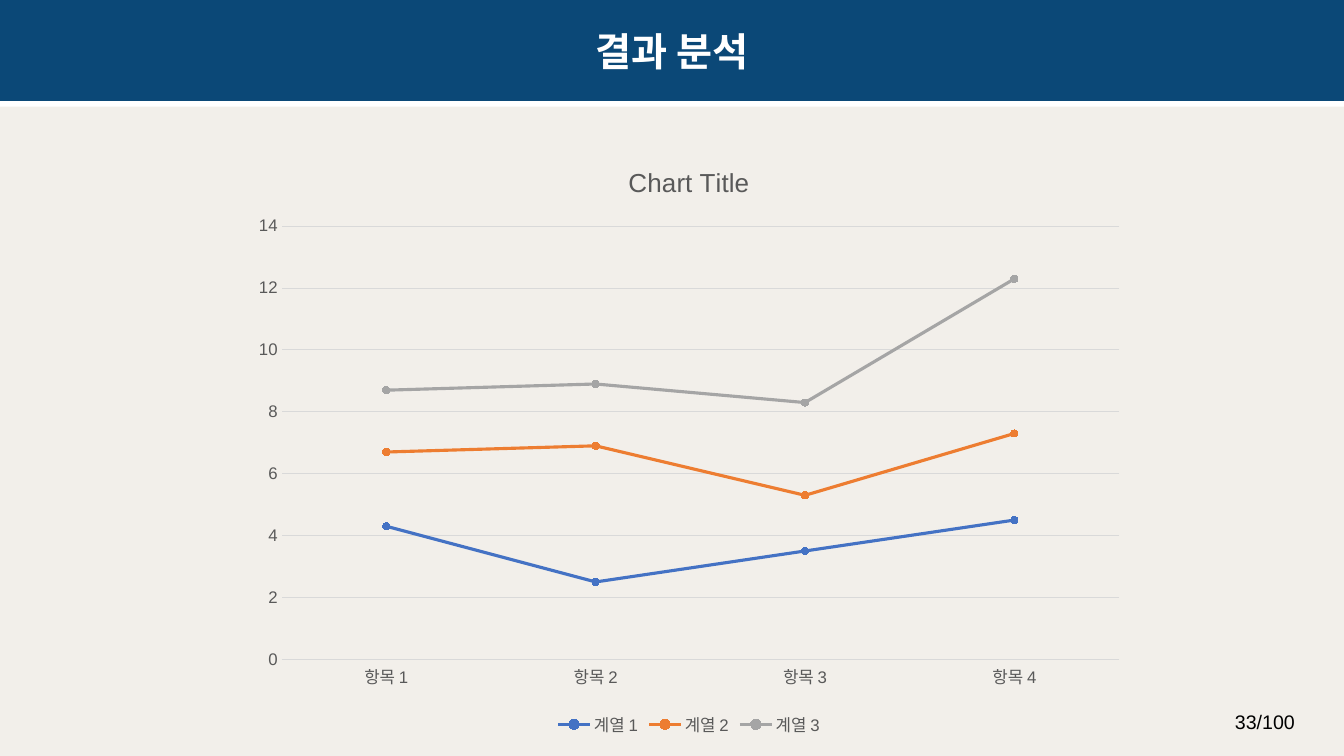
from lxml.etree import SubElement
from pptx import Presentation
from pptx.chart.data import CategoryChartData
from pptx.dml.color import RGBColor
from pptx.enum.chart import (XL_CHART_TYPE as ChartType, XL_LEGEND_POSITION as LegendPosition,
                             XL_MARKER_STYLE as MarkerStyle, XL_TICK_MARK as TickMark)
from pptx.enum.text import MSO_ANCHOR as Anchor, MSO_AUTO_SIZE as AutoSize, PP_ALIGN as Align
from pptx.oxml.ns import qn
from pptx.util import Emu, Pt

PX = 914400 / 100.8
COLORS = {"paper": "F2EFEA", "banner": "0B4877", "white": "FFFFFF", "black": "000000",
          "label": "595959", "grid": "D9D9D9"}
HANGUL_FONT = "Noto Sans CJK KR"
CATEGORIES = ["항목 1", "항목 2", "항목 3", "항목 4"]
SERIES = [
    ("계열 1", "4472C4", (4.3, 2.5, 3.5, 4.5)),
    ("계열 2", "ED7D31", (2.4, 4.4, 1.8, 2.8)),
    ("계열 3", "A5A5A5", (2, 2, 3, 5)),
]


def px(*lengths):
    return [Emu(round(length * PX)) for length in lengths]


def rgb(name):
    return RGBColor.from_string(COLORS.get(name, name))


def paint(fill, color):
    fill.solid()
    fill.fore_color.rgb = rgb(color)


def style_font(font, size, color, name="Arial", bold=False):
    values = {"size": Pt(size), "name": name, "bold": bold}
    for key, value in values.items():
        setattr(font, key, value)
    font.color.rgb = rgb(color)


def style_line(line, color, width):
    paint(line.fill, color)
    line.width = Pt(width)


def add_shadow_edge(shape, color, distance):
    effects = SubElement(shape.element.spPr, qn("a:effectLst"))
    shadow = SubElement(effects, qn("a:outerShdw"), dist=str(Pt(distance)),
                        dir="5400000", algn="t", rotWithShape="0")
    SubElement(shadow, qn("a:srgbClr"), val=COLORS[color])


def add_banner(page, text):
    banner = page.shapes.title
    banner.left, banner.top, banner.width, banner.height = px(0, 0, 1344, 101)
    paint(banner.fill, "banner")
    banner.line.fill.background()
    add_shadow_edge(banner, "white", 4)
    frame = banner.text_frame
    frame.auto_size = AutoSize.NONE
    frame.vertical_anchor = Anchor.MIDDLE
    para = frame.paragraphs[0]
    para.alignment = Align.CENTER
    span = para.add_run()
    span.text = text
    style_font(span.font, 28, "white", HANGUL_FONT, True)
    SubElement(span.font._element, qn("a:ea"), typeface=HANGUL_FONT)


def add_page_number(page, text):
    box = page.shapes.add_textbox(*px(1225, 705, 102, 34))
    box.text_frame.word_wrap = True
    span = box.text_frame.paragraphs[0].add_run()
    span.text = text
    style_font(span.font, 14, "black")


def style_axis(axis):
    axis.major_tick_mark = axis.minor_tick_mark = TickMark.NONE
    style_font(axis.tick_labels.font, 12, "label")


def add_line_chart(page):
    data = CategoryChartData()
    data.categories = CATEGORIES
    for name, _, values in SERIES:
        data.add_series(name, values)
    chart = page.shapes.add_chart(ChartType.LINE_MARKERS_STACKED,
                                  *px(241, 143, 896, 598), data).chart
    style_font(chart.font, 10, "black")

    # Title and legend
    chart.has_title = True
    span = chart.chart_title.text_frame.paragraphs[0].add_run()
    span.text = "Chart Title"
    style_font(span.font, 18.6, "label")
    chart.chart_title.include_in_layout = False
    chart.has_legend = True
    chart.legend.position = LegendPosition.BOTTOM
    chart.legend.include_in_layout = False
    style_font(chart.legend.font, 12, "label")

    # Axes
    style_axis(chart.category_axis)
    style_line(chart.category_axis.format.line, "grid", 0.75)
    value_axis = chart.value_axis
    style_axis(value_axis)
    value_axis.format.line.fill.background()
    value_axis.minimum_scale, value_axis.maximum_scale, value_axis.major_unit = 0, 14, 2
    value_axis.has_major_gridlines = True
    style_line(value_axis.major_gridlines.format.line, "grid", 0.75)

    # Series
    plot = chart.plots[0]
    plot.vary_by_categories = False
    for series, (_, color, _) in zip(plot.series, SERIES):
        series.smooth = False
        style_line(series.format.line, color, 2.25)
        marker = series.marker
        marker.style, marker.size = MarkerStyle.CIRCLE, 5
        paint(marker.format.fill, color)
        style_line(marker.format.line, color, 0.75)


def main():
    deck = Presentation()
    deck.slide_width, deck.slide_height = px(1344, 756)
    page = deck.slides.add_slide(deck.slide_layouts[5])
    paint(page.background.fill, "paper")
    add_page_number(page, "33/100")
    add_banner(page, "결과 분석")
    add_line_chart(page)
    deck.save("out.pptx")


if __name__ == "__main__":
    main()
